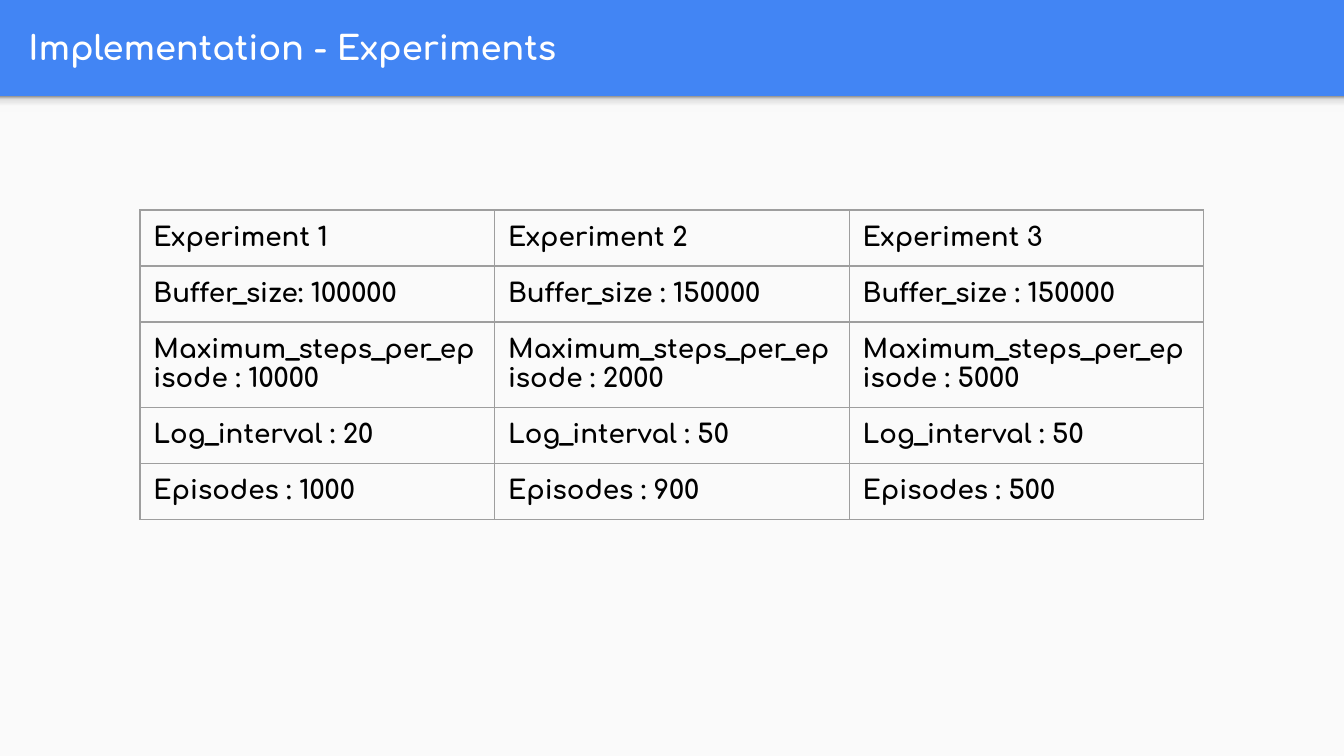
from copy import deepcopy
from dataclasses import dataclass

from lxml import etree
from pptx import Presentation
from pptx.dml.color import RGBColor
from pptx.enum.shapes import MSO_SHAPE
from pptx.enum.text import MSO_ANCHOR, MSO_AUTO_SIZE, PP_ALIGN
from pptx.oxml.ns import qn
from pptx.util import Pt

RECTANGLE = MSO_SHAPE.RECTANGLE
MIDDLE, TOP = MSO_ANCHOR.MIDDLE, MSO_ANCHOR.TOP
LEFT = PP_ALIGN.LEFT
NO_AUTOFIT = MSO_AUTO_SIZE.NONE
TITLE_ONLY = 5
BORDER_TAGS = ("a:lnL", "a:lnR", "a:lnT", "a:lnB")


@dataclass(frozen=True)
class Theme:
    font: str = "Comfortaa"
    title_size: float = 18
    cell_size: float = 14
    header: str = "4285F4"
    body: str = "FAFAFA"
    title: str = "FFFFFF"
    text: str = "000000"
    border: str = "9E9E9E"
    border_width: float = 0.75
    inset: float = 7.2
    shadow: tuple = ((0, "F9F9F9"), (0.36, "F9F9F9"), (0.8, "DEDEDE"), (1, "999999"))


THEME = Theme()
EXPERIMENTS = (
    ("Experiment 1", "Experiment 2", "Experiment 3"),
    ("Buffer_size: 100000", "Buffer_size : 150000", "Buffer_size : 150000"),
    ("Maximum_steps_per_episode : 10000", "Maximum_steps_per_episode : 2000",
     "Maximum_steps_per_episode : 5000"),
    ("Log_interval : 20", "Log_interval : 50", "Log_interval : 50"),
    ("Episodes : 1000", "Episodes : 900", "Episodes : 500"),
)


def write_text(frame, text, *, size, color, bold=True, align=LEFT):
    para = frame.paragraphs[0]
    para.alignment = align
    span = para.add_run()
    span.text = text
    span.font.name = THEME.font
    span.font.size = Pt(size)
    span.font.bold = bold
    span.font.color.rgb = RGBColor.from_string(color)


def set_insets(holder):
    """Give a text frame or a table cell the same margin on all sides."""
    for side in ("left", "right", "top", "bottom"):
        setattr(holder, f"margin_{side}", Pt(THEME.inset))


def add_panel(page, box):
    panel = page.shapes.add_shape(RECTANGLE, *map(Pt, box))
    panel.shadow.inherit = False
    panel.line.fill.background()
    return panel


def add_body(page, box, shadow_height):
    """Place the light body panel with the header's shadow along its top."""
    left, top, width, height = box
    body = add_panel(page, box)
    body.fill.solid()
    body.fill.fore_color.rgb = RGBColor.from_string(THEME.body)

    shadow = add_panel(page, (left, top, width, shadow_height))
    shadow.fill.gradient()
    shadow.fill.gradient_angle = 90
    stop_list = shadow._element.spPr.find(".//" + qn("a:gsLst"))
    while len(stop_list) < len(THEME.shadow):
        stop_list.append(deepcopy(stop_list[0]))
    for stop, (position, color) in zip(shadow.fill.gradient_stops, THEME.shadow):
        stop.position = position
        stop.color.rgb = RGBColor.from_string(color)


def place_title(page, box, text):
    title = page.shapes.title
    title.left, title.top, title.width, title.height = map(Pt, box)
    frame = title.text_frame
    frame.word_wrap = True
    frame.auto_size = NO_AUTOFIT
    frame.vertical_anchor = MIDDLE
    set_insets(frame)
    write_text(frame, text, size=THEME.title_size, color=THEME.title)


def add_borders(cell):
    properties = cell._tc.get_or_add_tcPr()
    for index, tag in enumerate(BORDER_TAGS):
        line = etree.Element(qn(tag), w=str(Pt(THEME.border_width)))
        fill = etree.SubElement(line, qn("a:solidFill"))
        etree.SubElement(fill, qn("a:srgbClr"), val=THEME.border)
        properties.insert(index, line)


def add_experiment_table(page, box, rows):
    left, top, width, height = box
    table = page.shapes.add_table(len(rows), len(rows[0]), *map(Pt, box)).table
    table.first_row = table.horz_banding = False
    for column in table.columns:
        column.width = Pt(width / len(rows[0]))
    for row, texts in zip(table.rows, rows):
        row.height = Pt(height / len(rows))
        for cell, text in zip(row.cells, texts):
            cell.fill.background()
            cell.vertical_anchor = TOP
            set_insets(cell)
            add_borders(cell)
            write_text(cell.text_frame, text, size=THEME.cell_size, color=THEME.text)


def build_experiments_page(deck, box):
    left, top, width, height = box
    header_height = 51.6
    page = deck.slides.add_slide(deck.slide_layouts[TITLE_ONLY])
    page.background.fill.solid()
    page.background.fill.fore_color.rgb = RGBColor.from_string(THEME.header)
    add_body(page, (left, top + header_height, width, height - header_height), 8.4)
    place_title(page, (left + 8, top + 1.5, width - 25, 47.5),
                "Implementation - Experiments")
    add_experiment_table(page, (left + 75, top + 112.5, width - 150, 150), EXPERIMENTS)


def main():
    deck = Presentation()
    width, height = 720, 405
    deck.slide_width, deck.slide_height = Pt(width), Pt(height)
    build_experiments_page(deck, (0, 0, width, height))
    deck.save("out.pptx")


if __name__ == "__main__":
    main()
